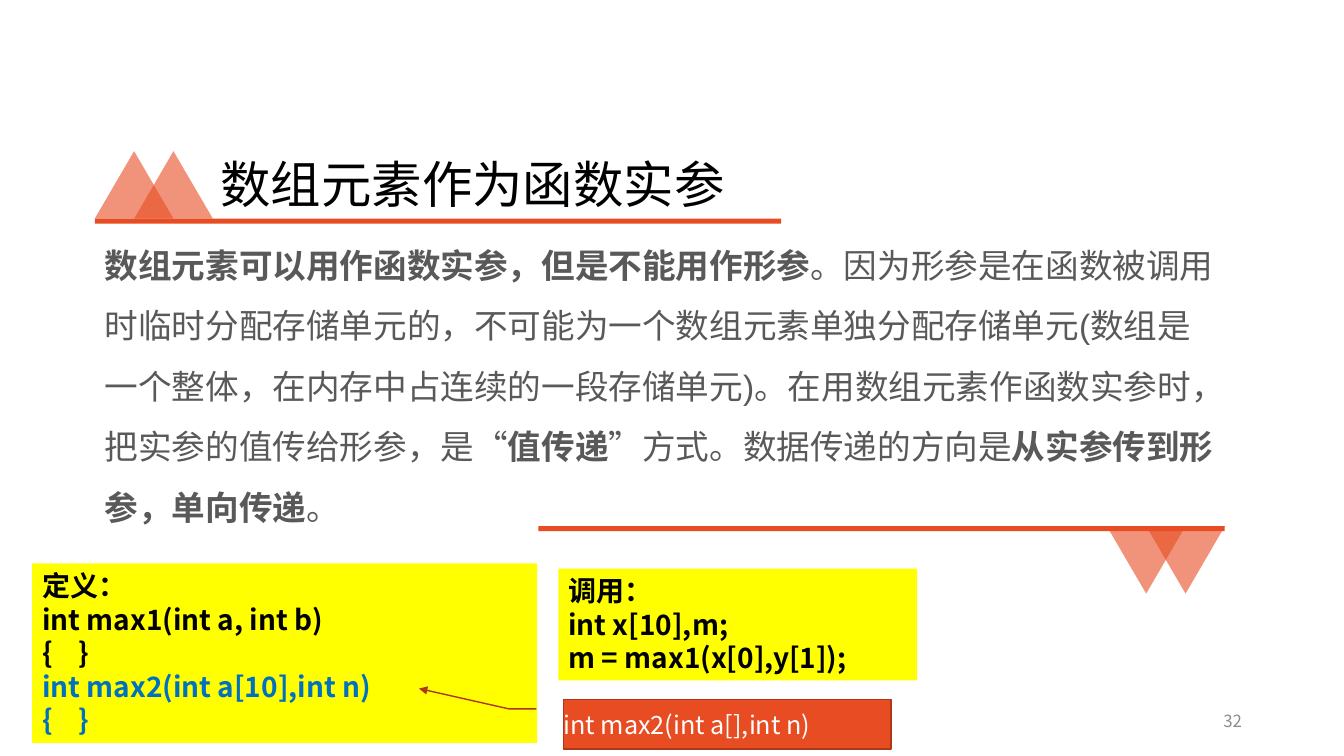
from pptx import Presentation
from pptx.dml.color import RGBColor
from pptx.enum.lang import MSO_LANGUAGE_ID
from pptx.enum.shapes import MSO_SHAPE
from pptx.enum.text import MSO_ANCHOR, MSO_AUTO_SIZE, PP_ALIGN
from pptx.oxml import parse_xml
from pptx.oxml.ns import nsdecls
from pptx.util import Pt

RED = RGBColor(0xE8, 0x4C, 0x22)
RUST = RGBColor(0xAC, 0x38, 0x19)
YELLOW = RGBColor(0xFF, 0xFF, 0x00)
BLUE = RGBColor(0x00, 0x70, 0xC0)
BLACK = RGBColor(0x00, 0x00, 0x00)
WHITE = RGBColor(0xFF, 0xFF, 0xFF)
DARK = RGBColor(0x59, 0x59, 0x59)
GRAY = RGBColor(0x8C, 0x8C, 0x8C)
SANS = "Noto Sans CJK SC"

deck = Presentation()
deck.slide_width, deck.slide_height = Pt(960), Pt(540)
slide = deck.slides.add_slide(deck.slide_layouts[6])
shapes = slide.shapes


def add_run(para, text, size, color, bold=False, face=SANS):
    run = para.add_run()
    run.text = text
    font = run.font
    font.size, font.bold, font.name = Pt(size), bold, face
    font.color.rgb = color
    font.language_id = MSO_LANGUAGE_ID.SIMPLIFIED_CHINESE
    font._element.find("{*}latin").addnext(
        parse_xml(f'<a:ea {nsdecls("a")} typeface="{SANS}"/>'))


def add_box(kind, left, top, width, height, fill=None):
    """Add a shape, or a text box when kind is None, with wrapped text."""
    area = Pt(left), Pt(top), Pt(width), Pt(height)
    if kind is None:
        box = shapes.add_textbox(*area)
    else:
        box = shapes.add_shape(kind, *area)
        box.shadow.inherit = False
        box.fill.solid()
        box.fill.fore_color.rgb = fill
        box.line.fill.background()
    box.text_frame.word_wrap = True
    box.text_frame.vertical_anchor = MSO_ANCHOR.MIDDLE
    return box


# Title and body
title = add_box(None, 150.5, 105.8, 449.3, 56.2).text_frame.paragraphs[0]
title.line_spacing = 0.9
add_run(title, "数组元素作为函数实参", 36, BLACK)

body = add_box(None, 67.7, 144, 807.1, 249.1).text_frame.paragraphs[0]
body.line_spacing = 1.5
for text, bold in [
    ("数组元素可以用作函数实参，但是不能用作形参", True),
    ("。因为形参是在函数被调用时临时分配存储单元的，不可能为一个数组元素单独分配存储单元"
     "(数组是一个整体，在内存中占连续的一段存储单元)。在用数组元素作函数实参时，"
     "把实参的值传给形参，是“", False),
    ("值传递", True),
    ("”方式。数据传递的方向是", False),
    ("从实参传到形参，单向传递", True),
    ("。", False),
]:
    add_run(body, text, 24, DARK, bold, "Arial")

# Peaks above the title rule, and the same turned over below the body
for peak, top, turn, rule, base in [
    (67.7, 108, 0, 67.7, 156.2),
    (790.6, 375.8, 180, 384.5, 375.8),
]:
    for step in range(2):
        tri = add_box(MSO_SHAPE.ISOSCELES_TRIANGLE,
                      peak + 28.1 * step, top, 56.2, 48.2, RED)
        tri.rotation = turn
        tint = tri.fill._xPr.find(".//{*}srgbClr")
        tint.append(parse_xml(f'<a:alpha {nsdecls("a")} val="60000"/>'))
    add_box(MSO_SHAPE.RECTANGLE, rule, base, 490.3, 3.6, RED)

page = add_box(None, 678.2, 500.4, 216, 28.8).text_frame.paragraphs[0]
page.alignment = PP_ALIGN.RIGHT
add_run(page, "32", 12, GRAY)

# Code boxes
for area, lines in [
    ((23, 402.5, 360.7, 128.2), [
        ("定义：", BLACK),
        ("int max1(int a, int b)", BLACK),
        ("{    }", BLACK),
        ("int max2(int a[10],int n)", BLUE),
        ("{    }", BLUE),
    ]),
    ((398.9, 406.1, 256.3, 79.9), [
        ("调用：", BLACK),
        ("int x[10],m;", BLACK),
        ("m = max1(x[0],y[1]);", BLACK),
    ]),
]:
    frame = add_box(MSO_SHAPE.RECTANGLE, *area, YELLOW).text_frame
    frame.vertical_anchor = MSO_ANCHOR.TOP
    frame.auto_size = MSO_AUTO_SIZE.SHAPE_TO_FIT_TEXT
    for row, (text, color) in enumerate(lines):
        para = frame.add_paragraph() if row else frame.paragraphs[0]
        para.alignment = PP_ALIGN.LEFT
        add_run(para, text, 20, color, True)

# Callout pointing at max2
note = add_box(MSO_SHAPE.LINE_CALLOUT_2, 402.5, 499.7, 234, 35.3, RED)
for spot, value in enumerate([0.188, -0.083, 0.188, -0.167, -0.223, -0.441]):
    note.adjustments[spot] = value
note.line.color.rgb = RUST
note.line.width = Pt(1)
note.line._get_or_add_ln().append(
    parse_xml(f'<a:tailEnd {nsdecls("a")} type="triangle"/>'))
frame = note.text_frame
frame.margin_left = frame.margin_right = Pt(0)
frame.paragraphs[0].alignment = PP_ALIGN.LEFT
add_run(frame.paragraphs[0], "int max2(int a[],int n)", 18, WHITE)

deck.save("out.pptx")
